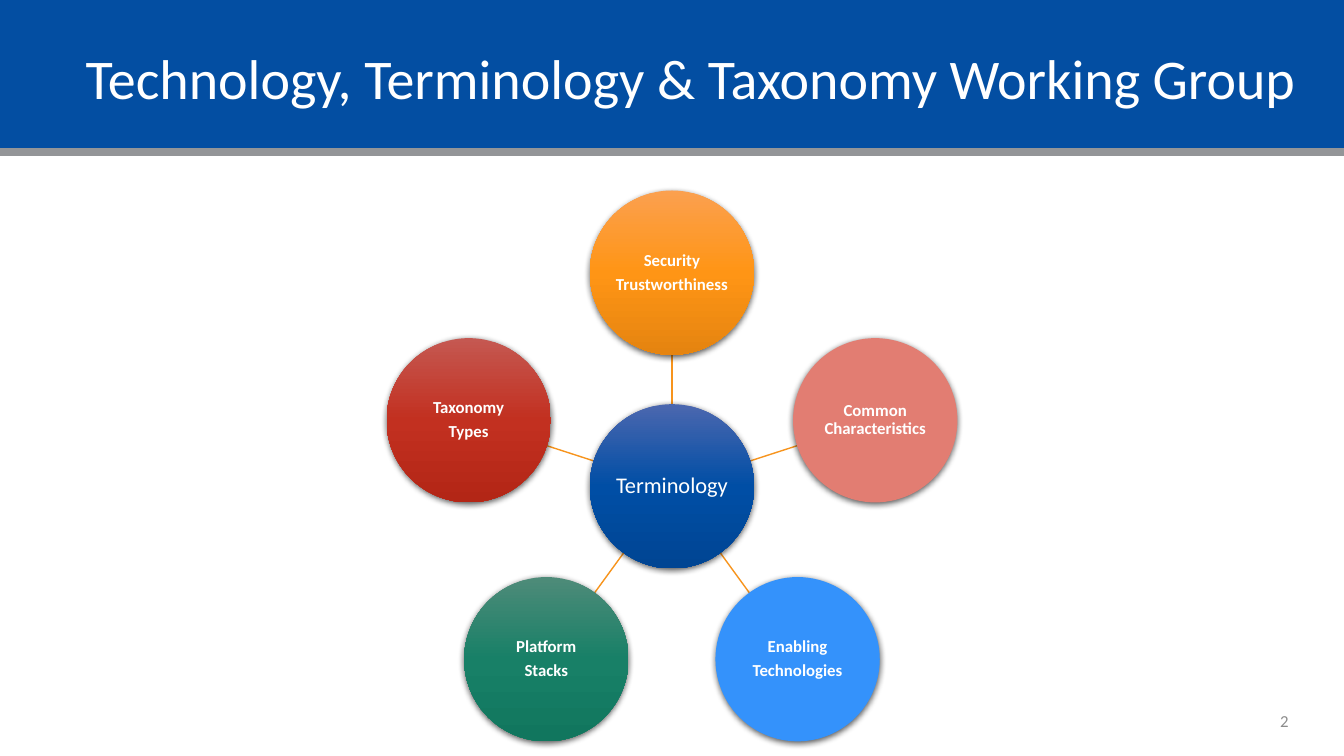
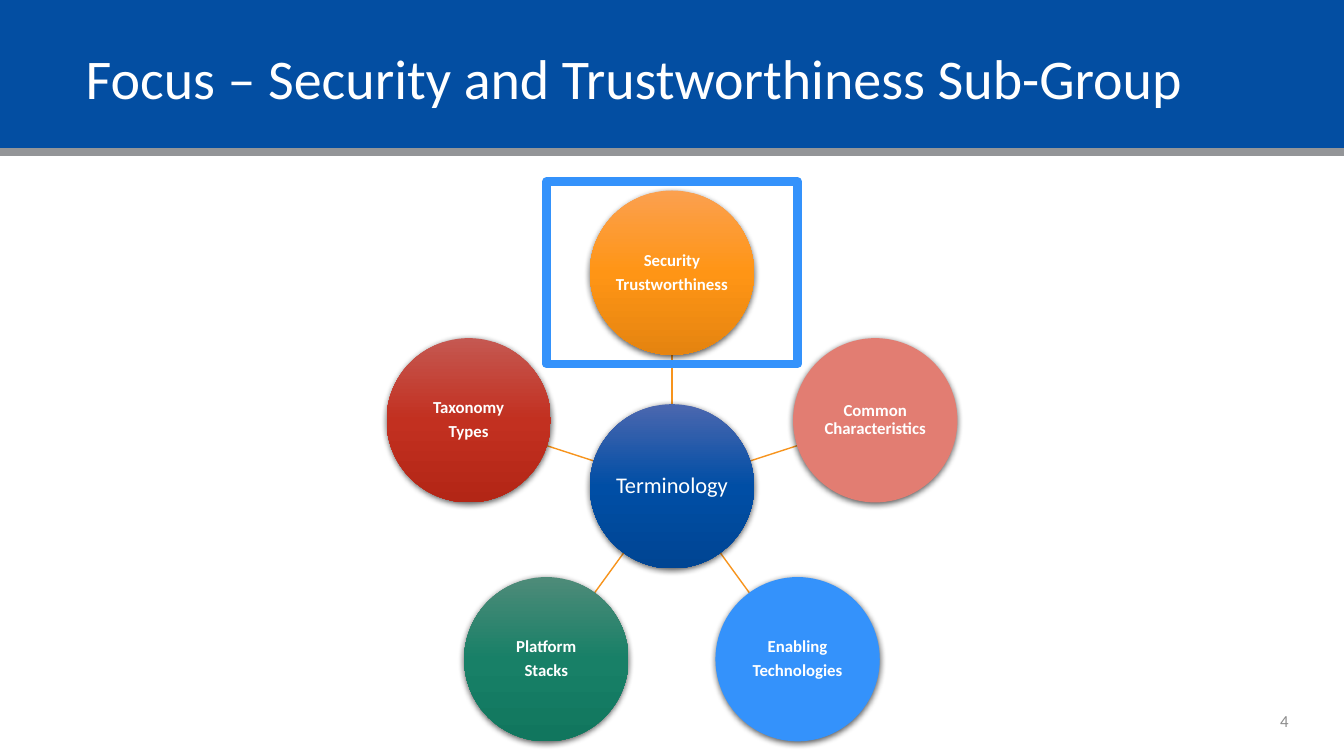
"""Build two slides showing the terminology hub and its five topics."""
import copy
import math

import pptx
import pptx.dml.color
import pptx.enum.shapes
import pptx.enum.text
import pptx.oxml
import pptx.oxml.ns
import pptx.util

Inches = pptx.util.Inches
Pt = pptx.util.Pt
qn = pptx.oxml.ns.qn
SHAPE = pptx.enum.shapes.MSO_SHAPE
STRAIGHT = pptx.enum.shapes.MSO_CONNECTOR.STRAIGHT
ALIGN = pptx.enum.text.PP_ALIGN

WHITE, BLUE, GRAY, ORANGE, SKY = "FFFFFF", "034EA2", "939598", "F7941D", "3492FB"
SHADOW = (
    f'<a:outerShdw {pptx.oxml.ns.nsdecls("a")} blurRad="57150" dist="19050" '
    'dir="5400000" algn="ctr" rotWithShape="0">'
    '<a:srgbClr val="000000"><a:alpha val="63000"/></a:srgbClr></a:outerShdw>'
)

CENTER_X, CENTER_Y = 6.665, 4.825
RADIUS, ORBIT = 0.815, 2.12
HUB = (["Terminology"], ["4B67AF", "004EA5", "004593"])
TOPICS = [
    (["Security", "Trustworthiness"], ["FBA04F", "FF9515", "E58410"]),
    (["Common Characteristics"], ["E27D72"]),
    (["Enabling", "Technologies"], [SKY]),
    (["Platform", "Stacks"], ["4E8B79", "188067", "11765E"]),
    (["Taxonomy", "Types"], ["C55851", "C23020", "B32616"]),
]
SLIDES = [
    ("Technology, Terminology & Taxonomy Working Group", "2", False),
    ("Focus – Security and Trustworthiness Sub-Group", "4", True),
]


def paint(target, color):
    """Give a fill or a line one solid colour."""
    fill = getattr(target, "fill", target)
    fill.solid()
    fill.fore_color.rgb = pptx.dml.color.RGBColor.from_string(color)


def write(frame, lines, size, color=WHITE, bold=False, align=ALIGN.CENTER,
          spacing=0.9, after=0, inset=None):
    """Write each line as a paragraph in a vertically centred frame."""
    frame.word_wrap = True
    frame.auto_size = pptx.enum.text.MSO_AUTO_SIZE.NONE
    frame.vertical_anchor = pptx.enum.text.MSO_ANCHOR.MIDDLE
    if inset is not None:
        frame.margin_left = frame.margin_right = Inches(inset)
        frame.margin_top = frame.margin_bottom = Inches(inset)
    for index, line in enumerate(lines):
        para = frame.add_paragraph() if index else frame.paragraphs[0]
        para.alignment = align
        para.line_spacing = spacing
        para.space_after = Pt(after)
        span = para.add_run()
        span.text = line
        span.font.name = "Calibri"
        span.font.size = Pt(size)
        span.font.bold = bold
        paint(span.font, color)


deck = pptx.Presentation()
deck.slide_width, deck.slide_height = Inches(13.33), Inches(7.5)
layout = deck.slide_layouts.get_by_name("Title Only")
pages = [deck.slides.add_slide(layout) for _ in SLIDES]

shapes = pages[0].shapes
band = shapes.add_shape(SHAPE.RECTANGLE, 0, 0, deck.slide_width, Inches(1.47))
band.shadow.inherit = False
paint(band, BLUE)
band.line.fill.background()
rule = shapes.add_connector(STRAIGHT, 0, Inches(1.51), deck.slide_width, Inches(1.51))
paint(rule.line, GRAY)
rule.line.width = Pt(6)
rule.element.spPr.append(pptx.oxml.parse_xml(f'<a:effectLst {pptx.oxml.ns.nsdecls("a")}/>'))
layout.shapes.element.insert(2, band.element)
layout.shapes.element.insert(3, rule.element)

for page, (heading, number, focused) in zip(pages, SLIDES):
    shapes = page.shapes
    title = shapes.title
    title.left, title.top = Inches(0.75), Inches(0.08)
    title.width, title.height = Inches(12.43), Inches(1.45)
    write(title.text_frame, [heading], 40, align=ALIGN.LEFT)

    box = shapes.add_textbox(Inches(12.42), Inches(6.95), Inches(0.64), Inches(0.4))
    write(box.text_frame, [number], 12, color="8C8C8C", spacing=1)

    circles = [(CENTER_X, CENTER_Y, *HUB, 16, False)]
    for index, (lines, colors) in enumerate(TOPICS):
        angle = math.radians(360 / len(TOPICS) * index - 90)
        across, down = math.cos(angle), math.sin(angle)
        circles.append((CENTER_X + ORBIT * across, CENTER_Y + ORBIT * down,
                        lines, colors, 12, True))
        ends = [Inches(center + reach * step)
                for reach in (RADIUS, ORBIT - RADIUS)
                for center, step in ((CENTER_X, across), (CENTER_Y, down))]
        spoke = shapes.add_connector(STRAIGHT, *ends)
        paint(spoke.line, ORANGE)
        spoke.line.width = Pt(1)
        spoke.element.spPr.append(
            pptx.oxml.parse_xml(f'<a:effectLst {pptx.oxml.ns.nsdecls("a")}/>'))

    for x, y, lines, colors, size, bold in circles:
        circle = shapes.add_shape(SHAPE.OVAL, Inches(x - RADIUS), Inches(y - RADIUS),
                                  Inches(2 * RADIUS), Inches(2 * RADIUS))
        circle.line.fill.background()
        if len(colors) == 1:
            paint(circle, colors[0])
        else:
            circle.fill.gradient()
            circle.fill.gradient_angle = 270
            stops = circle.element.spPr.find(".//" + qn("a:gsLst"))
            stops.insert(1, copy.deepcopy(stops[0]))
            for stop, position, color in zip(circle.fill.gradient_stops, (0, 0.5, 1), colors):
                stop.position = position
                stop.color.rgb = pptx.dml.color.RGBColor.from_string(color)
        circle.shadow.inherit = False
        circle.element.spPr.find(qn("a:effectLst")).append(pptx.oxml.parse_xml(SHADOW))
        write(circle.text_frame, lines, size, bold=bold, after=0.35 * size, inset=0.01)

    if focused:
        highlight = shapes.add_shape(SHAPE.RECTANGLE, Inches(5.42), Inches(1.8),
                                     Inches(2.49), Inches(1.81))
        highlight.shadow.inherit = False
        highlight.fill.background()
        paint(highlight.line, SKY)
        highlight.line.width = Pt(6)

deck.save("out.pptx")
